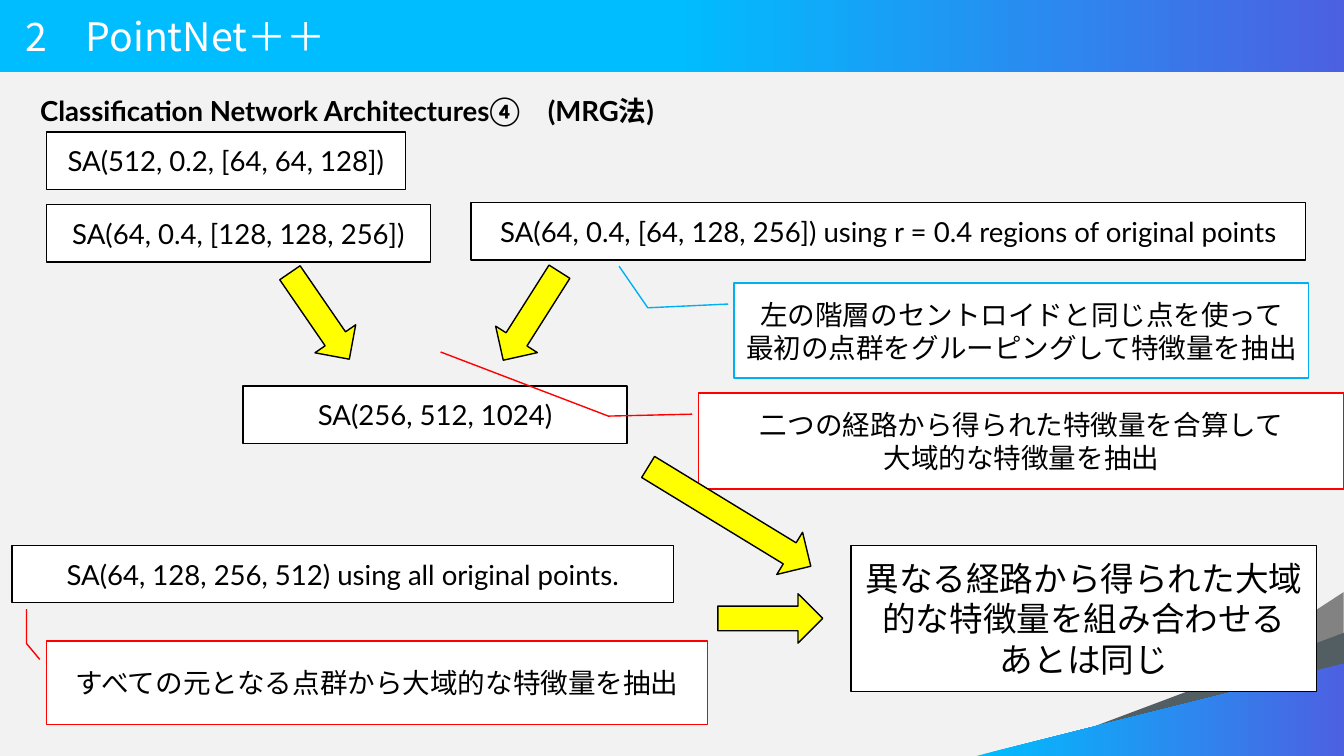
from pptx import Presentation
from pptx.dml.color import RGBColor
from pptx.enum import shapes, text
from pptx.oxml import ns
from pptx.util import Inches, Pt
from lxml import etree

HUES = {
    "back": "F2F2F2", "white": "FFFFFF", "black": "000000",
    "cyan": "00BDFF", "violet": "4C61E2", "gray": "828282",
    "slate": "535E62", "blue": "00B0F0", "red": "FF0000",
    "yellow": "FFFF00",
}
KIND = shapes.MSO_SHAPE
CJK = "Noto Sans CJK JP"

deck = Presentation()
deck.slide_width, deck.slide_height = Inches(13.33), Inches(7.5)
slide = deck.slides.add_slide(deck.slide_layouts[6])
slide.background.fill.solid()
slide.background.fill.fore_color.rgb = RGBColor.from_string(HUES["back"])


def draw(kind, spot, fill, line=None, turn=0):
    """Add a preset shape; a list of (position, hue) stops as fill gives a gradient."""
    shape = slide.shapes.add_shape(kind, *map(Inches, spot))
    shape.shadow.inherit = False
    shape.rotation = turn
    if isinstance(fill, list):
        shape.fill.gradient()
        shape.fill.gradient_angle = 0
        for stop, (place, hue) in zip(shape.fill.gradient_stops, fill):
            stop.position = place
            stop.color.rgb = RGBColor.from_string(HUES[hue])
        shape.element.spPr.find(ns.qn("a:gradFill")).set("rotWithShape", "0")
    else:
        shape.fill.solid()
        shape.fill.fore_color.rgb = RGBColor.from_string(HUES[fill])
    if line:
        shape.line.color.rgb = RGBColor.from_string(HUES[line])
        shape.line.width = Pt(1)
    else:
        shape.line.fill.background()
    return shape


def write(shape, lines, size=19.7, hue="black", face="Lato", bold=False,
          align=text.PP_ALIGN.CENTER):
    frame = shape.text_frame
    frame.word_wrap = True
    frame.vertical_anchor = text.MSO_ANCHOR.MIDDLE
    for i, line in enumerate(lines):
        para = frame.add_paragraph() if i else frame.paragraphs[0]
        para.alignment = align
        run = para.add_run()
        run.text = line
        font = run.font
        font.size, font.name, font.bold = Pt(size), face, bold
        font.color.rgb = RGBColor.from_string(HUES[hue])
        east = etree.Element(ns.qn("a:ea"), typeface=CJK)
        run._r.rPr.find(ns.qn("a:latin")).addnext(east)


# Header band and corner wedges
draw(KIND.RECTANGLE, (0, 0, 13.33, 0.71), [(0.5, "cyan"), (1, "violet")])
wedges = [
    ((11.27, 5.44, 1.62, 2.49), "gray"),
    ((11.08, 5.25, 1.23, 3.28), "slate"),
    ((11.04, 5.21, 0.92, 3.67), [(0, "cyan"), (1, "violet")]),
]
for spot, fill in wedges:
    draw(KIND.RIGHT_TRIANGLE, spot, fill, turn=270)

# Title and heading
title = slide.shapes.add_textbox(*map(Inches, (0.15, 0, 10.69, 0.71)))
write(title, ["2　PointNet＋＋"], 28, "white", CJK, align=text.PP_ALIGN.LEFT)
head = slide.shapes.add_textbox(*map(Inches, (0.3, 0.88, 8.51, 0.43)))
write(head, ["Classification Network Architectures④　(MRG法)"], bold=True,
      align=text.PP_ALIGN.LEFT)

# Network layers
layers = [
    (0.46, 1.31, 3.56, "SA(512, 0.2, [64, 64, 128])"),
    (0.46, 2.03, 3.81, "SA(64, 0.4, [128, 128, 256])"),
    (4.67, 2.01, 8.28, "SA(64, 0.4, [64, 128, 256]) using r = 0.4 regions of original points"),
    (2.41, 3.83, 3.81, "SA(256, 512, 1024)"),
    (0.12, 5.41, 6.56, "SA(64, 128, 256, 512) using all original points."),
]
for left, top, width, label in layers:
    write(draw(KIND.RECTANGLE, (left, top, width, 0.57), "white", "black"), [label])

result = draw(KIND.RECTANGLE, (8.44, 5.41, 4.62, 1.45), "white", "black")
write(result, ["異なる経路から得られた大域的な特徴量を組み合わせる", "あとは同じ"], 24)

# Callouts: the bend and the tip of each leader are (y, x) shares of the box
notes = [
    ((7.28, 2.81, 5.7, 0.94), "blue", (0.26, -0.15, -0.18, -0.2),
     ["左の階層のセントロイドと同じ点を使って", "最初の点群をグルーピングして特徴量を抽出"]),
    ((6.93, 3.9, 6.4, 0.95), "red", (0.24, -0.14, -0.43, -0.4),
     ["二つの経路から得られた特徴量を合算して", "大域的な特徴量を抽出"]),
    ((0.46, 6.36, 6.56, 0.83), "red", (0.03, -0.03, -0.38, -0.03),
     ["すべての元となる点群から大域的な特徴量を抽出"]),
]
for spot, hue, leader, lines in notes:
    note = draw(KIND.LINE_CALLOUT_2, spot, "white", hue)
    for i, share in enumerate((0.22, -0.01) + leader):
        note.adjustments[i] = share
    write(note, lines)

# Flow arrows
arrows = [
    (2.65, 2.89, 1.04, 55.5),
    (4.75, 2.89, 1.04, 122.4),
    (6.29, 4.88, 1.89, 31.4),
    (7.12, 5.89, 1.04, 0),
]
for left, top, width, turn in arrows:
    draw(KIND.RIGHT_ARROW, (left, top, width, 0.49), "yellow", "black", turn)

deck.save("out.pptx")
